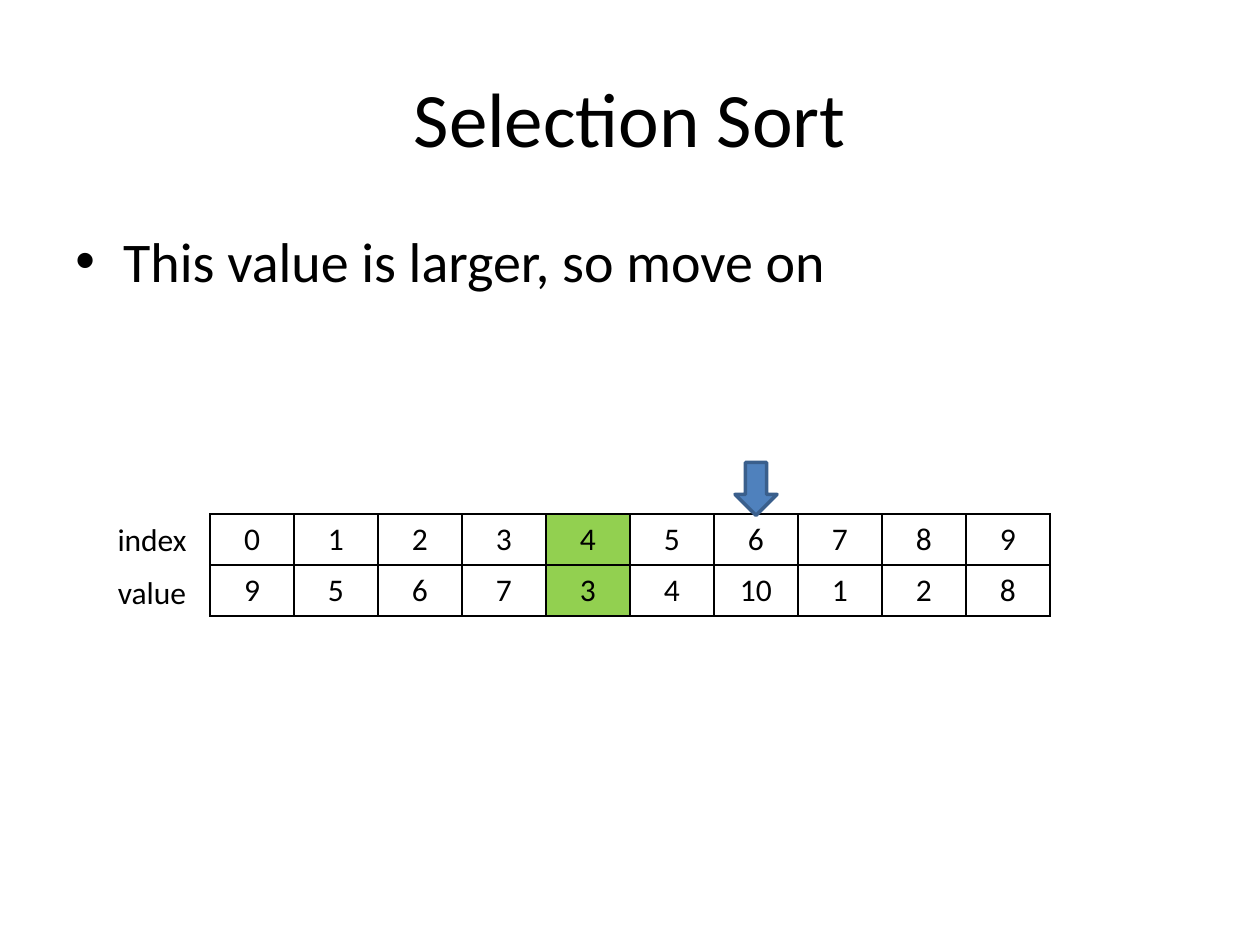
from lxml.etree import SubElement
from pptx import Presentation
from pptx.dml.color import RGBColor
from pptx.enum.shapes import MSO_SHAPE as Preset
from pptx.enum.text import MSO_ANCHOR as Anchor, PP_ALIGN as Align
from pptx.oxml.ns import qn
from pptx.util import Inches, Pt

WIDTH, HEIGHT = 10, 7.5
BLACK, WHITE, GREEN = "000000", "FFFFFF", "92D050"
VALUES = [9, 5, 6, 7, 3, 4, 10, 1, 2, 8]
SMALLEST, CURRENT = 4, 6  # indexes of the minimum so far and the value examined

# Array grid
COLUMN = WIDTH / 15
ROW = 0.405
ARRAY_LEFT, ARRAY_TOP = 2.5 * COLUMN, 4.08


def colour(hex_code):
    return RGBColor.from_string(hex_code)


def write(frame, text, size, align=Align.CENTER):
    frame.text = text
    paragraph = frame.paragraphs[0]
    paragraph.alignment = align
    font = paragraph.runs[0].font
    font.name, font.size = "Calibri", Pt(size)
    font.color.rgb = colour(BLACK)
    return paragraph


def add_text(slide, text, box, size, align=Align.CENTER, anchor=Anchor.TOP):
    frame = slide.shapes.add_textbox(*map(Inches, box)).text_frame
    frame.word_wrap = True
    frame.vertical_anchor = anchor
    return write(frame, text, size, align)


def add_bullet(paragraph, indent):
    properties = paragraph._p.get_or_add_pPr()
    properties.set("marL", str(Inches(indent)))
    properties.set("indent", str(-Inches(indent)))
    SubElement(properties, qn("a:buFont"), typeface="Arial")
    SubElement(properties, qn("a:buChar"), char="•")


def fill_cell(cell, text, fill):
    write(cell.text_frame, text, 18)
    properties = cell._tc.get_or_add_tcPr()
    for side in ("lnL", "lnR", "lnT", "lnB"):
        border = SubElement(properties, qn(f"a:{side}"), w=str(Pt(1)))
        solid = SubElement(border, qn("a:solidFill"))
        SubElement(solid, qn("a:srgbClr"), val=BLACK)
    cell.fill.solid()
    cell.fill.fore_color.rgb = colour(fill)


def add_array(slide, rows):
    count = len(rows[0])
    size = (count * COLUMN, len(rows) * ROW)
    array = slide.shapes.add_table(
        len(rows), count, *map(Inches, (ARRAY_LEFT, ARRAY_TOP, *size))).table
    array.first_row = array.horz_banding = False
    for r, numbers in enumerate(rows):
        for c, number in enumerate(numbers):
            fill_cell(array.cell(r, c), str(number),
                      GREEN if c == SMALLEST else WHITE)


def add_pointer(slide, index):
    width, height = COLUMN / 2, 0.42
    left = ARRAY_LEFT + (index + 0.5) * COLUMN - width / 2
    box = (left, ARRAY_TOP + 0.01 - height, width, height)
    pointer = slide.shapes.add_shape(Preset.DOWN_ARROW, *map(Inches, box))
    pointer.shadow.inherit = False
    pointer.fill.solid()
    pointer.fill.fore_color.rgb = colour("4F81BD")
    pointer.line.color.rgb = colour("3A5F8C")
    pointer.line.width = Pt(2)


def main():
    deck = Presentation()
    deck.slide_width, deck.slide_height = Inches(WIDTH), Inches(HEIGHT)
    slide = deck.slides.add_slide(deck.slide_layouts[6])
    margin = 0.05 * WIDTH
    content = WIDTH - 2 * margin

    # Title and explanation
    add_text(slide, "Selection Sort", (margin, 0.04 * HEIGHT, content, 1.25),
             44, anchor=Anchor.MIDDLE)
    step = add_text(slide, "This value is larger, so move on",
                    (margin, 1.75, content, 0.66 * HEIGHT), 32, Align.LEFT)
    add_bullet(step, 0.38)

    # Array with its row labels
    add_array(slide, [range(len(VALUES)), VALUES])
    label_width, label_height = 0.92, 0.42
    for row, label in enumerate(("index", "value")):
        add_text(slide, label, (ARRAY_LEFT - label_width,
                                ARRAY_TOP + row * label_height,
                                label_width, label_height), 18)

    # Pointer to the value being compared
    add_pointer(slide, CURRENT)
    deck.save("out.pptx")


if __name__ == "__main__":
    main()
